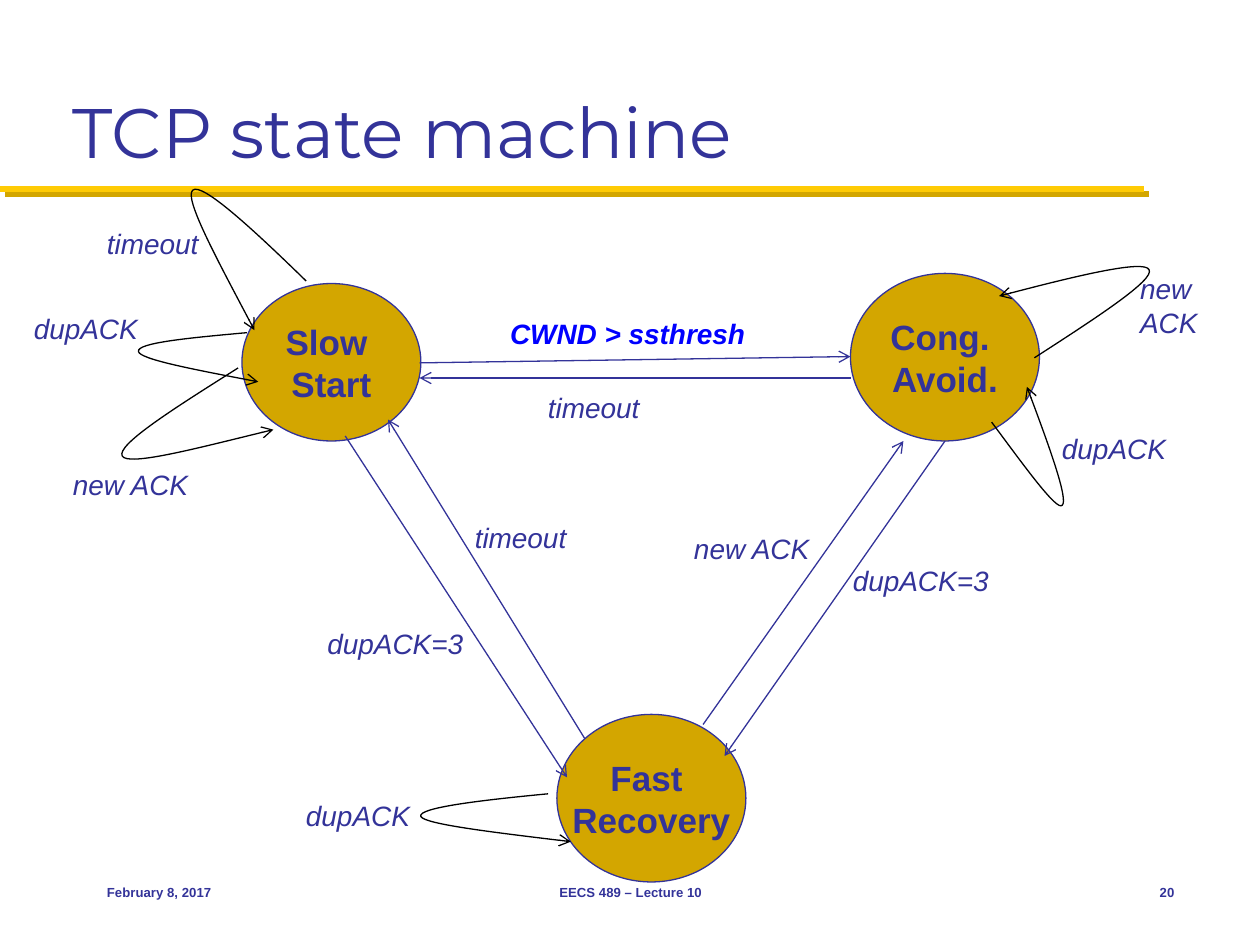
from lxml import etree
from pptx import Presentation
from pptx.dml.color import RGBColor
from pptx.enum.shapes import MSO_CONNECTOR, MSO_SHAPE
from pptx.enum.text import MSO_ANCHOR, MSO_AUTO_SIZE, PP_ALIGN
from pptx.oxml.ns import qn
from pptx.util import Inches, Pt

STRAIGHT = MSO_CONNECTOR.STRAIGHT
OVAL = MSO_SHAPE.OVAL
BOTTOM, MIDDLE, TOP = MSO_ANCHOR.BOTTOM, MSO_ANCHOR.MIDDLE, MSO_ANCHOR.TOP
LEFT, CENTER, RIGHT = PP_ALIGN.LEFT, PP_ALIGN.CENTER, PP_ALIGN.RIGHT
NO_FIT = MSO_AUTO_SIZE.NONE

COLORS = {
    "ink": "333399",
    "state": "D3A600",
    "rule": "FFCB05",
    "condition": "0000FF",
    "loop": "000000",
}

STATES = [
    ("Slow \vStart", 1.92, 2.25, 1.42, 1.25),
    ("Cong. \vAvoid.", 6.75, 2.17, 1.5, 1.33),
    ("Fast \vRecovery", 4.42, 5.67, 1.5, 1.33),
]

TRANSITIONS = [
    ((3.33, 2.88), (6.75, 2.83)),
    ((6.75, 3), (3.33, 3)),
    ((2.74, 3.46), (4.5, 6.17)),
    ((7.5, 3.5), (5.75, 6)),
    ((5.58, 5.75), (7.17, 3.5)),
    ((4.64, 5.86), (3.08, 3.33)),
]

# Each loop: start point, then two Bezier segments of three points
LOOPS = [
    [(4.35, 6.3), (3.83, 6.35), (3.31, 6.41), (3.34, 6.48),
     (3.37, 6.54), (3.95, 6.61), (4.53, 6.68)],
    [(1.89, 2.92), (1.4, 3.23), (0.92, 3.53), (0.97, 3.62),
     (1.02, 3.7), (1.59, 3.55), (2.17, 3.41)],
    [(2.43, 2.23), (2.02, 1.83), (1.6, 1.44), (1.53, 1.51),
     (1.46, 1.57), (1.74, 2.09), (2.02, 2.62)],
    [(8.21, 2.84), (8.69, 2.53), (9.17, 2.22), (9.12, 2.14),
     (9.08, 2.06), (8.5, 2.2), (7.93, 2.35)],
    [(1.96, 2.64), (1.52, 2.68), (1.08, 2.72), (1.1, 2.79),
     (1.11, 2.85), (1.58, 2.94), (2.05, 3.03)],
    [(7.87, 3.35), (8.13, 3.7), (8.39, 4.06), (8.43, 4.01),
     (8.48, 3.97), (8.32, 3.52), (8.15, 3.07)],
]

LABELS = [
    ("timeout", 4.25, 3.05, 0.94),
    ("dupACK=3", 2.5, 4.92, 1.29),
    ("timeout", 3.67, 4.08, 0.94),
    ("dupACK=3", 6.67, 4.42, 1.29),
    ("new ACK", 5.41, 4.17, 1.13),
    ("dupACK", 2.33, 6.29, 1.03),
    ("new ACK", 0.48, 3.66, 1.13),
    ("timeout", 0.75, 1.75, 0.94),
    ("new \vACK", 8.95, 2.11, 0.68),
    ("dupACK", 0.17, 2.42, 1.05),
    ("dupACK", 8.33, 3.38, 1.1),
]

FOOTERS = [
    ("February 8, 2017", 0.75, 2.08, LEFT),
    ("EECS 489 – Lecture 10", 3.42, 3.17, CENTER),
    ("20", 8.75, 0.67, RIGHT),
]


def color(name):
    return RGBColor.from_string(COLORS[name])


def write(shape, text, size, font="Arial", ink="ink", bold=False, italic=False,
          align=LEFT, anchor=TOP):
    frame = shape.text_frame
    frame.text = text
    frame.word_wrap = False
    frame.auto_size = NO_FIT
    frame.vertical_anchor = anchor
    paragraph = frame.paragraphs[0]
    paragraph.alignment = align
    for run in paragraph.runs:
        run.font.name = font
        run.font.size = Pt(size)
        run.font.bold = bold
        run.font.italic = italic
        run.font.color.rgb = color(ink)


def add_text(slide, text, left, top, width, height, size, **style):
    box = slide.shapes.add_textbox(
        Inches(left), Inches(top), Inches(width), Inches(height))
    write(box, text, size, **style)


def add_label(slide, text, left, top, width, **style):
    height = 0.64 if "\v" in text else 0.37
    add_text(slide, text, left, top, width, height, 16, italic=True, **style)


def add_state(slide, text, left, top, width, height):
    state = slide.shapes.add_shape(
        OVAL, Inches(left), Inches(top), Inches(width), Inches(height))
    state.shadow.inherit = False
    state.fill.solid()
    state.fill.fore_color.rgb = color("state")
    state.line.color.rgb = color("ink")
    state.line.width = Pt(0.75)
    write(state, text, 20, bold=True, align=CENTER, anchor=MIDDLE)


def add_arrowhead(shape):
    etree.SubElement(shape.get_or_add_ln(), qn("a:tailEnd"), type="arrow")


def add_line(slide, start, end, ink, width):
    """Return the connector and its effect list, which is empty."""
    connector = slide.shapes.add_connector(
        STRAIGHT, *(Inches(value) for value in (*start, *end)))
    connector.line.color.rgb = color(ink)
    connector.line.width = Pt(width)
    properties = connector._element.spPr
    return connector, etree.SubElement(properties, qn("a:effectLst"))


def add_transition(slide, start, end):
    connector, _ = add_line(slide, start, end, "ink", 0.75)
    add_arrowhead(connector)


def add_title_rule(slide):
    _, effects = add_line(slide, (0, 1.5), (9.08, 1.5), "rule", 3.5)
    shadow = etree.SubElement(effects, qn("a:outerShdw"), dist=str(Pt(4.2)),
                              dir="2700000", algn="ctr", rotWithShape="0")
    etree.SubElement(shadow, qn("a:srgbClr"), val=COLORS["state"])


def add_loop(slide, points):
    """Draw a hairline self-transition, turning each three points into a curve."""
    start, *rest = [(Inches(x), Inches(y)) for x, y in points]
    builder = slide.shapes.build_freeform(*start)
    builder.add_line_segments(rest, close=False)
    loop = builder.convert_to_shape()
    outline = next(loop._element.iter(qn("a:path")))
    segments = outline.findall(qn("a:lnTo"))
    for first in range(0, len(segments), 3):
        curve = etree.SubElement(outline, qn("a:cubicBezTo"))
        for segment in segments[first:first + 3]:
            curve.append(segment[0])
            outline.remove(segment)
    loop.shadow.inherit = False
    loop.fill.background()
    loop.line.color.rgb = color("loop")
    loop.line.width = Pt(0)
    add_arrowhead(loop)


def format_title(slide, text):
    title = slide.shapes.title
    title.left, title.top = Inches(0.33), Inches(0.17)
    title.width, title.height = Inches(9.33), Inches(1.25)
    write(title, text, 40, font="Montserrat", anchor=BOTTOM)


def main():
    presentation = Presentation()
    presentation.slide_width = Inches(10)
    presentation.slide_height = Inches(7.5)
    slide = presentation.slides.add_slide(presentation.slide_layouts[5])
    add_title_rule(slide)
    format_title(slide, " TCP state machine")
    for text, left, width, align in FOOTERS:
        add_text(slide, text, left, 6.83, width, 0.5, 7.5, bold=True,
                 align=align, anchor=MIDDLE)
    for state in STATES:
        add_state(slide, *state)
    for start, end in TRANSITIONS:
        add_transition(slide, start, end)
    for points in LOOPS:
        add_loop(slide, points)
    add_label(slide, "CWND > ssthresh", 3.95, 2.46, 2.09, ink="condition", bold=True)
    for label in LABELS:
        add_label(slide, *label)
    presentation.save("out.pptx")


if __name__ == "__main__":
    main()
